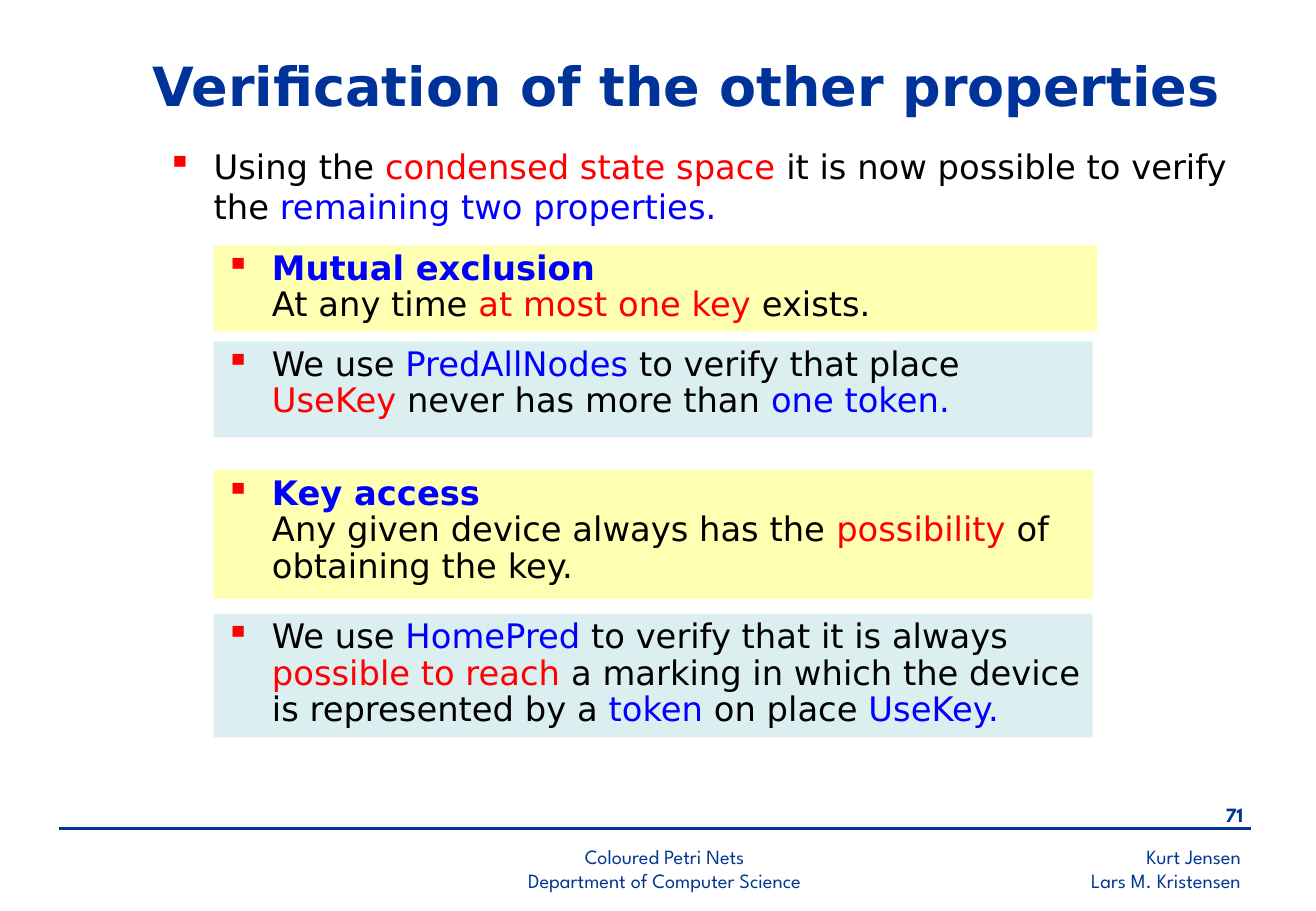
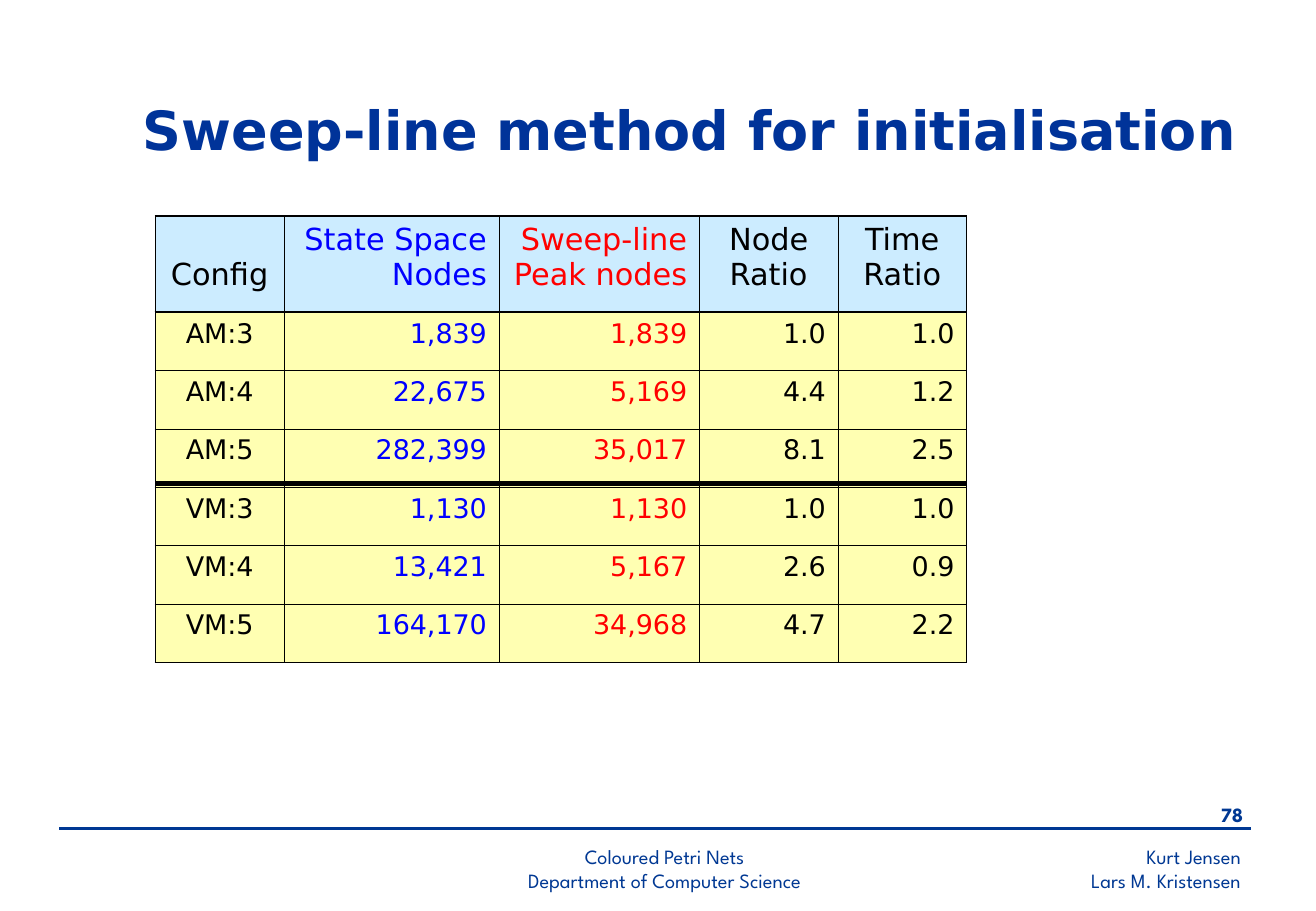
from lxml import etree
from pptx import Presentation
from pptx.dml.color import RGBColor
from pptx.enum.shapes import MSO_CONNECTOR, MSO_SHAPE
from pptx.enum.text import MSO_ANCHOR, PP_ALIGN
from pptx.oxml.ns import qn
from pptx.util import Cm, Pt

LEFT, CENTER, RIGHT = PP_ALIGN.LEFT, PP_ALIGN.CENTER, PP_ALIGN.RIGHT
TOP, MIDDLE = MSO_ANCHOR.TOP, MSO_ANCHOR.MIDDLE
RECT, STRAIGHT = MSO_SHAPE.RECTANGLE, MSO_CONNECTOR.STRAIGHT

BODY_FONT, FOOTER_FONT = "DejaVu Sans", "League Spartan"
NAVY, TITLE_BLUE = "003893", "003399"
BLACK, RED, BLUE = "000000", "FF0000", "0000FF"
YELLOW, TEAL, PALE_BLUE = "FFFF66", "BBE0E3", "CCECFF"
INDENT = Cm(0.97)


def paint(fill, color, alpha=None):
    """Make a fill solid; alpha is its opacity in percent."""
    fill.solid()
    fill.fore_color.rgb = RGBColor.from_string(color)
    if alpha:
        clr = fill._xPr.find(qn("a:solidFill"))[0]
        etree.SubElement(clr, qn("a:alpha"), val=str(alpha * 1000))


def write(tf, *paragraphs, size, color=BLACK, font=BODY_FONT, bold=False,
          align=LEFT, anchor=TOP, spacing=None, bullet=False):
    """Fill a text frame; a paragraph is a string or a list of
    (text, color[, bold]) runs, where \\v breaks the line."""
    tf.word_wrap = True
    tf.vertical_anchor = anchor
    for i, runs in enumerate(paragraphs):
        p = tf.add_paragraph() if i else tf.paragraphs[0]
        p.alignment = align
        if spacing:
            p.line_spacing = spacing
        if bullet:
            pPr = p._p.get_or_add_pPr()
            pPr.set("marL", str(INDENT))
            pPr.set("indent", str(-INDENT))
            bu_clr = etree.SubElement(pPr, qn("a:buClr"))
            etree.SubElement(bu_clr, qn("a:srgbClr"), val=RED)
            etree.SubElement(pPr, qn("a:buChar"), char="▪")
        if isinstance(runs, str):
            runs = [(runs, color, bold)]
        for text, run_color, *run_bold in runs:
            for j, line in enumerate(text.split("\v")):
                if j:
                    p.add_line_break()
                if line:
                    r = p.add_run()
                    r.text = line
                    r.font.name = font
                    r.font.size = Pt(size)
                    r.font.bold = any(run_bold)
                    paint(r.font.fill, run_color)


prs = Presentation()
prs.slide_width, prs.slide_height = Cm(27.53), Cm(19.05)

# Shared frame: title, page number and footers
slides, lines = [], []
footer = dict(size=12, color=NAVY, font=FOOTER_FONT)
for title, title_box, number in [
    ("Verification of the other properties", (2.95, 0.91, 23.6, 1.75), "71"),
    ("Sweep-line method for initialisation", (2.74, 1.83, 23.5, 1.75), "78"),
]:
    s = prs.slides.add_slide(prs.slide_layouts[6])
    slides.append(s)
    lines.append((s, 1.24, 26.16, 17.32, NAVY, 1.5))
    for box, paragraphs, style in [
        ((17.65, 17.53, 8.56, 1.27), ["Kurt Jensen", "Lars M. Kristensen"],
         dict(footer, align=RIGHT)),
        ((24.46, 16.66, 1.8, 0.84), [number],
         dict(footer, align=RIGHT, bold=True)),
        ((8.66, 17.53, 10.49, 1.19),
         ["Coloured Petri Nets", "Department of Computer Science"],
         dict(footer, align=CENTER)),
        (title_box, [title],
         dict(size=32, color=TITLE_BLUE, bold=True, anchor=MIDDLE)),
    ]:
        tb = s.shapes.add_textbox(*map(Cm, box))
        write(tb.text_frame, *paragraphs, **style)
properties_slide, sweep_slide = slides

# Verification of the other properties
tb = properties_slide.shapes.add_textbox(
    Cm(3.25), Cm(2.92), Cm(22.91), Cm(2.29))
write(tb.text_frame, [
    ("Using the ", BLACK), ("condensed state space", RED),
    (" it is now possible to verify the ", BLACK),
    ("remaining two properties.", BLUE),
], size=20, bullet=True)

for top, width, height, color, runs in [
    (5.13, 18.49, 1.8, YELLOW, [
        ("Mutual exclusion\v", BLUE, True), ("At any time ", BLACK),
        ("at most one key", RED), (" exists.", BLACK)]),
    (7.14, 18.39, 2.01, TEAL, [
        ("We use ", BLACK), ("PredAllNodes", BLUE),
        (" to verify that place ", BLACK), ("UseKey", RED),
        (" never has more than ", BLACK), ("one token.", BLUE)]),
    (9.83, 18.39, 2.69, YELLOW, [
        ("Key access\v", BLUE, True),
        ("Any given device always has the ", BLACK),
        ("possibility", RED), (" of obtaining the key.", BLACK)]),
    (12.83, 18.39, 2.59, TEAL, [
        ("We use ", BLACK), ("HomePred", BLUE),
        (" to verify that it is always ", BLACK), ("possible to reach", RED),
        (" a marking in which the device is represented by a ", BLACK),
        ("token", BLUE), (" on place ", BLACK), ("UseKey.", BLUE)]),
]:
    sp = properties_slide.shapes.add_shape(
        RECT, Cm(4.47), Cm(top), Cm(width), Cm(height))
    sp.shadow.inherit = False
    sp.line.fill.background()
    paint(sp.fill, color, alpha=50)
    write(sp.text_frame, runs, size=20, spacing=0.9, bullet=True)

# Sweep-line method for initialisation: heading table above results table
TABLE_LEFT = 3.25
COL_WIDTHS = [2.69, 4.5, 4.19, 2.9, 2.69]
COL_COLORS = [BLACK, BLUE, RED, BLACK, BLACK]
OUTER, INNER = Pt(1.08), Pt(0.45)
headings = [["Config", "State Space\vNodes", "Sweep-line\vPeak nodes",
             "Node Ratio", "Time\vRatio"]]
results = [
    ["AM:3", "1,839", "1,839", "1.0", "1.0"],
    ["AM:4", "22,675", "5,169", "4.4", "1.2"],
    ["AM:5", "282,399", "35,017", "8.1", "2.5"],
    ["VM:3", "1,130", "1,130", "1.0", "1.0"],
    ["VM:4", "13,421", "5,167", "2.6", "0.9"],
    ["VM:5", "164,170", "34,968", "4.7", "2.2"],
]
for rows, top, row_height, size, color, alpha, aligns in [
    (headings, 4.52, 2.01, 18, PALE_BLUE, None,
     [CENTER, RIGHT, RIGHT, CENTER, CENTER]),
    (results, 6.53, 1.22, 16, YELLOW, 50, [CENTER] + [RIGHT] * 4),
]:
    table = sweep_slide.shapes.add_table(
        len(rows), len(COL_WIDTHS), Cm(TABLE_LEFT), Cm(top),
        Cm(sum(COL_WIDTHS)), Cm(row_height * len(rows))).table
    table.first_row = table.horz_banding = False
    for col, width in zip(table.columns, COL_WIDTHS):
        col.width = Cm(width)
    for i, row in enumerate(rows):
        table.rows[i].height = Cm(row_height)
        for j, text in enumerate(row):
            cell = table.cell(i, j)
            tcPr = cell._tc.get_or_add_tcPr()
            for side, is_outer in [("L", j == 0), ("R", j == len(row) - 1),
                                   ("T", i == 0), ("B", i == len(rows) - 1)]:
                ln = etree.SubElement(tcPr, qn("a:ln" + side),
                                      w=str(OUTER if is_outer else INNER))
                ln_fill = etree.SubElement(ln, qn("a:solidFill"))
                etree.SubElement(ln_fill, qn("a:srgbClr"), val=BLACK)
            paint(cell.fill, color, alpha)
            write(cell.text_frame, text, size=size, color=COL_COLORS[j],
                  align=aligns[j])
            if text == "Config":  # level with the second line of its row
                cell.margin_top = Cm(0.86)
lines.append((sweep_slide, TABLE_LEFT, TABLE_LEFT + sum(COL_WIDTHS), 10.12,
              BLACK, 3))

for s, x1, x2, y, color, width in lines:
    line = s.shapes.add_connector(STRAIGHT, Cm(x1), Cm(y), Cm(x2), Cm(y))
    paint(line.line.fill, color)
    line.line.width = Pt(width)
    etree.SubElement(line._element.spPr, qn("a:effectLst"))

prs.save("out.pptx")
